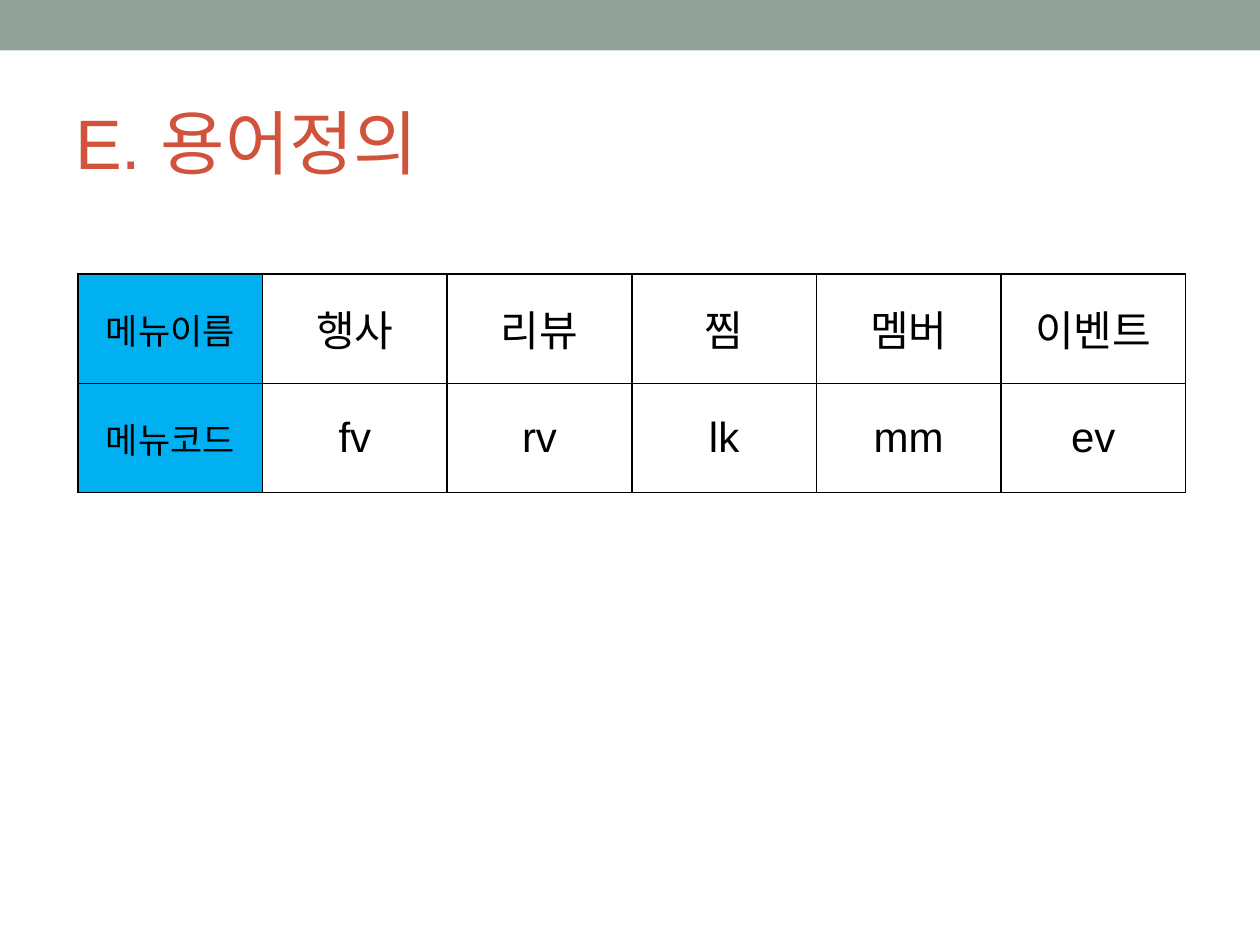
from dataclasses import dataclass

from lxml import etree
from pptx import Presentation
from pptx.dml.color import RGBColor
from pptx.enum.shapes import MSO_SHAPE
from pptx.enum.text import MSO_ANCHOR, PP_ALIGN
from pptx.oxml.ns import qn
from pptx.slide import Slide
from pptx.table import _Cell
from pptx.util import Pt

RECTANGLE = MSO_SHAPE.RECTANGLE
MIDDLE = MSO_ANCHOR.MIDDLE
CENTER = PP_ALIGN.CENTER
BLANK_LAYOUT = 6


@dataclass(frozen=True)
class Theme:
    font: str = "Arial"
    band: RGBColor = RGBColor(0x93, 0xA2, 0x99)
    title: RGBColor = RGBColor(0xD2, 0x53, 0x3C)
    text: RGBColor = RGBColor(0, 0, 0)
    label_fill: RGBColor = RGBColor(0x00, 0xB0, 0xF0)
    title_size: int = 40
    label_size: int = 20
    value_size: int = 24


@dataclass(frozen=True)
class TermRow:
    label: str
    values: tuple[str, ...]


THEME = Theme()
SLIDE_WIDTH, SLIDE_HEIGHT = 720, 540
COLUMN_WIDTH, ROW_HEIGHT = 105.5, 62.5
CELL_MARGIN = 5
TERMS = (
    TermRow("메뉴이름", ("행사", "리뷰", "찜", "멤버", "이벤트")),
    TermRow("메뉴코드", ("fv", "rv", "lk", "mm", "ev")),
)


def style_font(paragraph, size: int, color: RGBColor) -> None:
    paragraph.font.name = THEME.font
    paragraph.font.size = Pt(size)
    paragraph.font.color.rgb = color


def add_top_band(slide: Slide) -> None:
    band = slide.shapes.add_shape(RECTANGLE, 0, 0, Pt(SLIDE_WIDTH), Pt(28.8))
    band.shadow.inherit = False
    band.fill.solid()
    band.fill.fore_color.rgb = THEME.band
    band.line.fill.background()


def add_title(slide: Slide, text: str) -> None:
    title = slide.shapes.add_textbox(Pt(36), Pt(42), Pt(648), Pt(78))
    frame = title.text_frame
    frame.word_wrap = True
    frame.vertical_anchor = MIDDLE
    paragraph = frame.paragraphs[0]
    paragraph.text = text
    style_font(paragraph, THEME.title_size, THEME.title)


def add_borders(cell: _Cell) -> None:
    """Draw a thin line on all four sides; lines must precede the cell fill."""
    properties = cell._tc.get_or_add_tcPr()
    for position, side in enumerate(("a:lnL", "a:lnR", "a:lnT", "a:lnB")):
        line = etree.Element(qn(side), w=str(Pt(1)))
        fill = etree.SubElement(line, qn("a:solidFill"))
        etree.SubElement(fill, qn("a:srgbClr"), val=str(THEME.text))
        properties.insert(position, line)


def fill_cell(cell: _Cell, text: str, is_label: bool) -> None:
    cell.margin_left = cell.margin_right = Pt(CELL_MARGIN)
    cell.margin_top = cell.margin_bottom = Pt(CELL_MARGIN)
    cell.vertical_anchor = MIDDLE
    if is_label:
        cell.fill.solid()
        cell.fill.fore_color.rgb = THEME.label_fill
    else:
        cell.fill.background()
    add_borders(cell)
    paragraph = cell.text_frame.paragraphs[0]
    paragraph.text = text
    paragraph.alignment = CENTER
    style_font(paragraph, THEME.label_size if is_label else THEME.value_size, THEME.text)


def add_term_table(slide: Slide, terms: tuple[TermRow, ...]) -> None:
    column_count = 1 + len(terms[0].values)
    table = slide.shapes.add_table(
        len(terms), column_count, Pt(44.6), Pt(156.6),
        Pt(COLUMN_WIDTH * column_count), Pt(ROW_HEIGHT * len(terms)),
    ).table
    table.first_row = table.horz_banding = False
    for column in table.columns:
        column.width = Pt(COLUMN_WIDTH)
    for row_index, term in enumerate(terms):
        table.rows[row_index].height = Pt(ROW_HEIGHT)
        for column_index, text in enumerate((term.label, *term.values)):
            fill_cell(table.cell(row_index, column_index), text, column_index == 0)


def main() -> None:
    presentation = Presentation()
    presentation.slide_width = Pt(SLIDE_WIDTH)
    presentation.slide_height = Pt(SLIDE_HEIGHT)
    slide = presentation.slides.add_slide(presentation.slide_layouts[BLANK_LAYOUT])
    add_top_band(slide)
    add_title(slide, "E. 용어정의")
    add_term_table(slide, TERMS)
    presentation.save("out.pptx")


if __name__ == "__main__":
    main()
